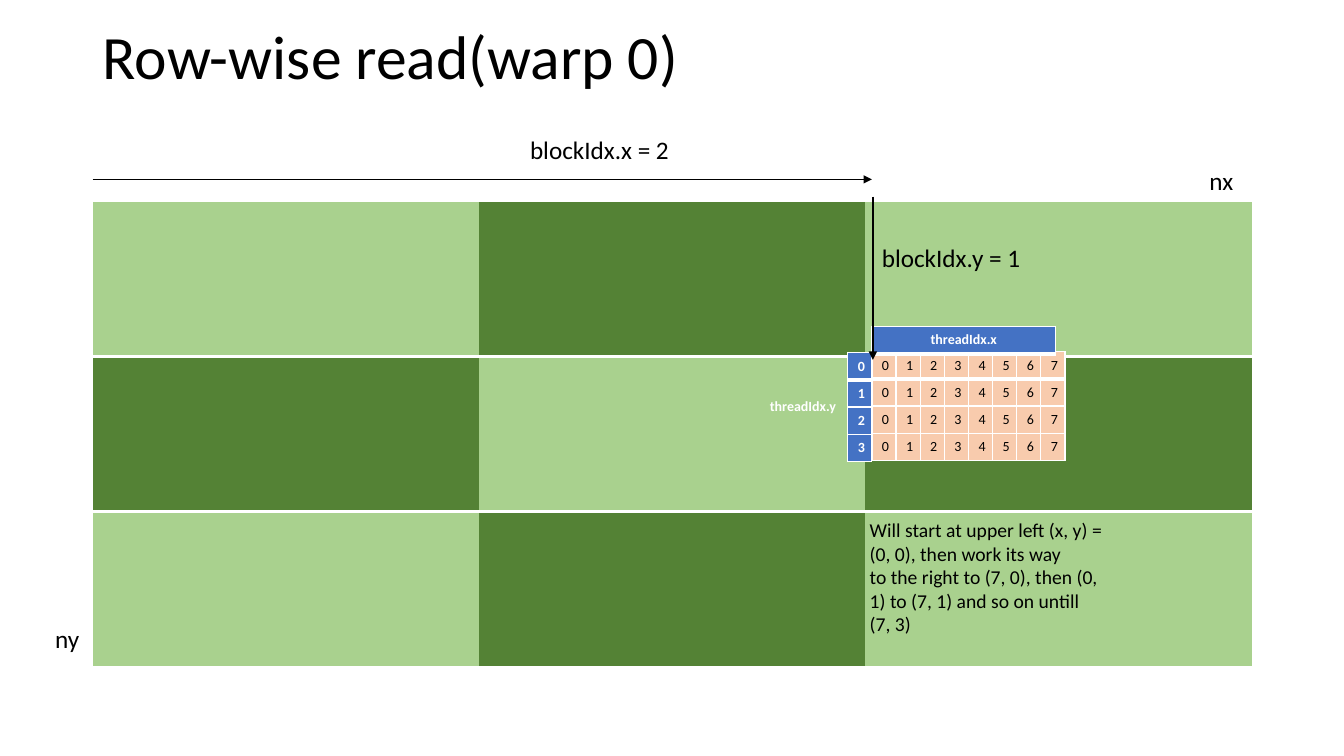
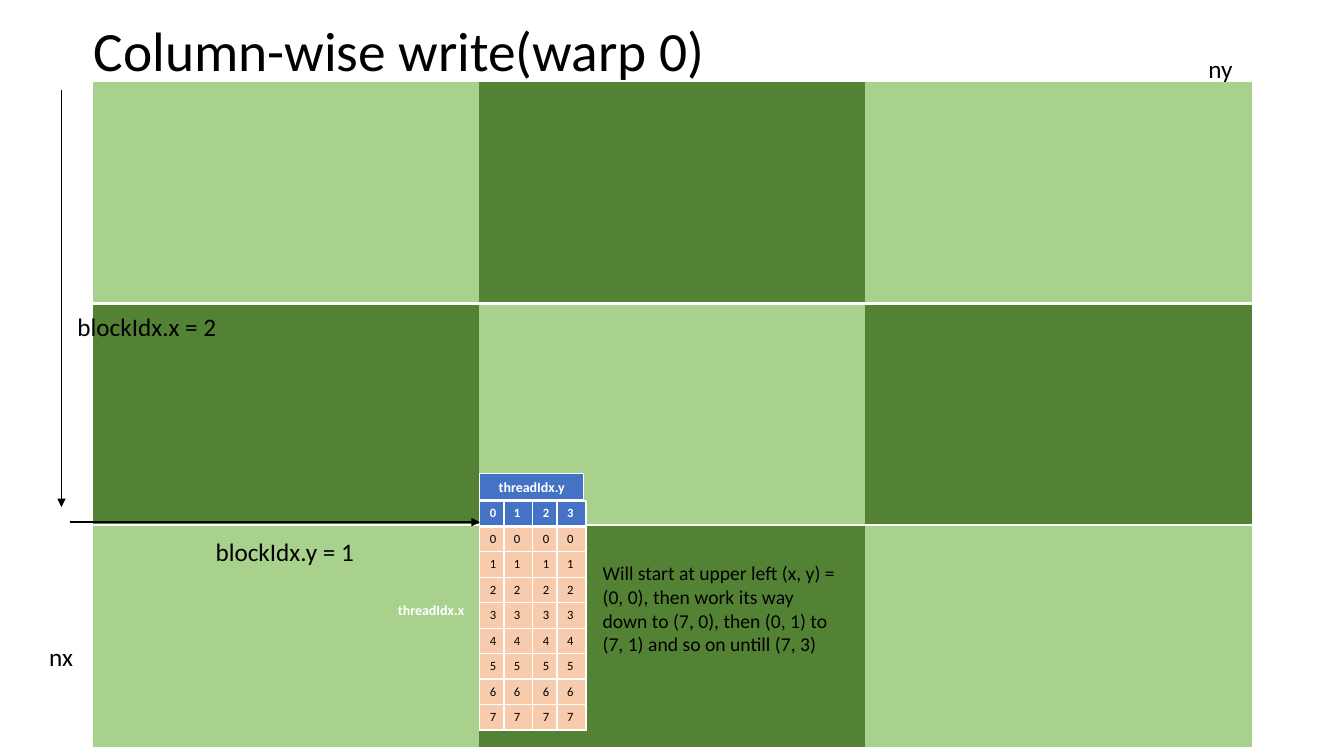
from dataclasses import dataclass

import pptx
import pptx.dml.color
import pptx.enum.shapes
import pptx.enum.text
import pptx.oxml
import pptx.oxml.ns
import pptx.presentation
import pptx.shapes.autoshape
import pptx.slide
import pptx.table
import pptx.text.text
import pptx.util

Pt = pptx.util.Pt
RGBColor = pptx.dml.color.RGBColor
ALIGN = pptx.enum.text.PP_ALIGN
qn = pptx.oxml.ns.qn

BLACK = RGBColor(0x00, 0x00, 0x00)
WHITE = RGBColor(0xFF, 0xFF, 0xFF)
LIGHT_BLOCK = RGBColor(0xA9, 0xD1, 0x8E)
DARK_BLOCK = RGBColor(0x54, 0x82, 0x35)
INDEX_BLUE = RGBColor(0x44, 0x72, 0xC4)
THREAD_PEACH = RGBColor(0xF8, 0xCB, 0xAD)
FONT = "Calibri"
NO_STYLE_NO_GRID = "{2D5ABB26-0587-4C30-8999-92F81FD0307C}"

BLOCKS_LEFT = 66.24
BLOCK_WIDTH = 276
BLOCKS_PER_SIDE = 3
THREADS_X = tuple("01234567")
THREADS_Y = tuple("0123")


@dataclass(frozen=True)
class Box:
    """A place on the slide, in points."""
    left: float
    top: float
    width: float
    height: float


@dataclass(frozen=True)
class Text:
    """A text box; each line is one paragraph."""
    lines: tuple[str, ...]
    box: Box
    size: float = 18
    color: RGBColor = BLACK
    bold: bool = False
    wrap: bool = False


@dataclass(frozen=True)
class Arrow:
    """A straight arrow between two points."""
    x1: float
    y1: float
    x2: float
    y2: float


@dataclass(frozen=True)
class Threads:
    """A table of thread indices whose first head_rows rows are blue."""
    left: float
    top: float
    columns: tuple[float, ...]
    row_height: float
    rows: tuple[tuple[str, ...], ...]
    head_rows: int = 0
    size: float = 10
    align: ALIGN = ALIGN.LEFT


@dataclass(frozen=True)
class WarpSlide:
    """All that differs from one slide to the next."""
    title: str
    title_box: Box
    title_size: float
    blocks_top: float
    block_height: float
    tables: tuple[Threads, ...]
    arrows: tuple[Arrow, ...]
    texts: tuple[Text, ...]


def axis_label(text: str, left: float, top: float) -> Text:
    """Describe a label for the extent of the matrix."""
    return Text((text,), Box(left, top, 31.68, 28.8))


def block_label(text: str, left: float, top: float) -> Text:
    """Describe a label for a block index."""
    return Text((text,), Box(left, top, 114.48, 28.8))


def thread_label(text: str, left: float, top: float) -> Text:
    """Describe the white label beside the thread table."""
    return Text((text,), Box(left, top, 62.64, 19.44), 10, WHITE, True)


def note(ending: str, left: float, top: float, height: float) -> Text:
    """Describe the explanation of the order of access."""
    opening = "Will start at upper left (x, y) = (0, 0), then work its way"
    return Text((opening, ending), Box(left, top, 180.72, height), 14, wrap=True)


def thread_header(text: str, left: float, top: float, width: float) -> Threads:
    """Describe the one-cell heading above a thread table."""
    return Threads(left, top, (width,), 19.2, ((text,),), 1, align=ALIGN.CENTER)


def style_paragraph(paragraph: pptx.text.text._Paragraph, size: float,
                    color: RGBColor, bold: bool = False) -> None:
    """Give a paragraph its font."""
    paragraph.font.name = FONT
    paragraph.font.size = Pt(size)
    paragraph.font.bold = bold
    paragraph.font.color.rgb = color


def draw_title(slide: pptx.slide.Slide, spec: WarpSlide) -> None:
    """Place and format the title placeholder."""
    title, box = slide.shapes.title, spec.title_box
    title.left, title.top = Pt(box.left), Pt(box.top)
    title.width, title.height = Pt(box.width), Pt(box.height)
    frame = title.text_frame
    frame.text = spec.title
    frame.auto_size = pptx.enum.text.MSO_AUTO_SIZE.NONE
    frame.vertical_anchor = pptx.enum.text.MSO_ANCHOR.MIDDLE
    heading = frame.paragraphs[0]
    heading.alignment = ALIGN.LEFT
    heading.line_spacing = 0.9
    style_paragraph(heading, spec.title_size, BLACK)


def draw_text(slide: pptx.slide.Slide, text: Text) -> None:
    """Draw a text box."""
    box = text.box
    frame = slide.shapes.add_textbox(
        Pt(box.left), Pt(box.top), Pt(box.width), Pt(box.height)).text_frame
    frame.word_wrap = text.wrap
    frame.auto_size = pptx.enum.text.MSO_AUTO_SIZE.SHAPE_TO_FIT_TEXT
    frame.text = "\n".join(text.lines)
    for paragraph in frame.paragraphs:
        style_paragraph(paragraph, text.size, text.color, text.bold)


def draw_arrow(slide: pptx.slide.Slide, arrow: Arrow) -> None:
    """Draw a black line with a triangle at its end."""
    connector = slide.shapes.add_connector(
        pptx.enum.shapes.MSO_CONNECTOR.STRAIGHT,
        Pt(arrow.x1), Pt(arrow.y1), Pt(arrow.x2), Pt(arrow.y2))
    connector.line.color.rgb = BLACK
    connector.line.width = Pt(1)
    head = pptx.oxml.parse_xml(f'<a:tailEnd {pptx.oxml.ns.nsdecls("a")} type="triangle"/>')
    connector.line._get_or_add_ln().append(head)
    properties = connector._element.spPr
    properties.append(properties.makeelement(qn("a:effectLst"), {}))


def add_plain_table(slide: pptx.slide.Slide, left: float, top: float,
                    columns: tuple[float, ...], row_height: float,
                    row_count: int) -> pptx.table.Table:
    """Add a table without style, bands or lines."""
    table = slide.shapes.add_table(
        row_count, len(columns), Pt(left), Pt(top),
        Pt(sum(columns)), Pt(row_height * row_count)).table
    table.first_row = table.horz_banding = False
    table._tbl.tblPr.find(qn("a:tableStyleId")).text = NO_STYLE_NO_GRID
    for column, width in zip(table.columns, columns):
        column.width = Pt(width)
    for row in table.rows:
        row.height = Pt(row_height)
    return table


def paint_cell(cell: pptx.table._Cell, fill: RGBColor,
               borders: dict[str, float]) -> None:
    """Fill a cell and give it white borders (side letter: points)."""
    properties = cell._tc.get_or_add_tcPr()
    for side in "LRTB":
        if side in borders:
            properties.append(pptx.oxml.parse_xml(
                f'<a:ln{side} {pptx.oxml.ns.nsdecls("a")} w="{Pt(borders[side])}">'
                f'<a:solidFill><a:srgbClr val="{WHITE}"/></a:solidFill></a:ln{side}>'))
    cell.fill.solid()
    cell.fill.fore_color.rgb = fill


def draw_blocks(slide: pptx.slide.Slide, top: float, height: float) -> None:
    """Draw the chequered matrix of blocks."""
    table = add_plain_table(slide, BLOCKS_LEFT, top, (BLOCK_WIDTH,) * BLOCKS_PER_SIDE,
                            height, BLOCKS_PER_SIDE)
    rules = ({"B": 2}, {"T": 2}, {})
    for row, rule in enumerate(rules):
        for column in range(BLOCKS_PER_SIDE):
            fill = DARK_BLOCK if (row + column) % 2 else LIGHT_BLOCK
            paint_cell(table.cell(row, column), fill, rule)


def draw_threads(slide: pptx.slide.Slide, threads: Threads) -> None:
    """Draw a table of thread indices with a thick rule under its first row."""
    table = add_plain_table(slide, threads.left, threads.top, threads.columns,
                            threads.row_height, len(threads.rows))
    for row, values in enumerate(threads.rows):
        is_head = row < threads.head_rows
        borders = {"L": 1, "R": 1, "T": 3 if row == 1 else 1, "B": 3 if row == 0 else 1}
        for column, value in enumerate(values):
            cell = table.cell(row, column)
            paint_cell(cell, INDEX_BLUE if is_head else THREAD_PEACH, borders)
            cell.text = value
            index = cell.text_frame.paragraphs[0]
            index.alignment = threads.align
            style_paragraph(index, threads.size, WHITE if is_head else BLACK, is_head)


def draw_slide(deck: pptx.presentation.Presentation, spec: WarpSlide) -> None:
    """Add one slide to the deck."""
    slide = deck.slides.add_slide(deck.slide_layouts[5])
    draw_title(slide, spec)
    draw_blocks(slide, spec.blocks_top, spec.block_height)
    for threads in spec.tables:
        draw_threads(slide, threads)
    for arrow in spec.arrows:
        draw_arrow(slide, arrow)
    for text in spec.texts:
        draw_text(slide, text)


ROW_READ = WarpSlide(
    title="Row-wise read(warp 0)",
    title_box=Box(66.24, 8.64, 828, 68.4),
    title_size=44,
    blocks_top=144,
    block_height=110.64,
    tables=(
        Threads(622.8, 251.28, (16.4,) * len(THREADS_X), 19.25,
                (THREADS_X,) * len(THREADS_Y)),
        thread_header("threadIdx.x", 622.8, 233.28, 131.2),
        Threads(605.52, 252, (16.4,), 19.25, tuple((y,) for y in THREADS_Y),
                head_rows=len(THREADS_Y)),
    ),
    arrows=(Arrow(66.24, 128.16, 622.8, 128.16), Arrow(623.52, 140.4, 623.52, 257.04)),
    texts=(
        block_label("blockIdx.x = 2", 371.52, 92.16),
        block_label("blockIdx.y = 1", 622.8, 169.92),
        thread_label("threadIdx.y", 542.88, 280.08),
        axis_label("nx", 856.8, 114.48),
        axis_label("ny", 32.4, 441.36),
        note("to the right to (7, 0), then (0, 1) to (7, 1) and so on untill (7, 3)",
             614.16, 366.48, 92.16),
    ),
)

COLUMN_WRITE = WarpSlide(
    title="Column-wise write(warp 0)",
    title_box=Box(59.76, 18.72, 828, 38.88),
    title_size=39.6,
    blocks_top=58.32,
    block_height=158.4,
    tables=(
        thread_header("threadIdx.y", 342.72, 338.4, 74.16),
        Threads(342.72, 357.84, (16.6, 20.7) * 2, 17.44,
                (THREADS_Y, *((x,) * len(THREADS_Y) for x in THREADS_X)),
                head_rows=1, size=9),
    ),
    arrows=(Arrow(43.92, 64.08, 43.92, 362.16), Arrow(49.68, 372.96, 342.72, 372.96)),
    texts=(
        block_label("blockIdx.x = 2", 48.24, 218.88),
        block_label("blockIdx.y = 1", 146.88, 379.44),
        thread_label("threadIdx.x", 277.2, 426.24),
        axis_label("ny", 856.08, 34.56),
        axis_label("nx", 28.08, 454.32),
        note("down to (7, 0), then (0, 1) to (7, 1) and so on untill (7, 3)",
             423.36, 397.44, 74.88),
    ),
)

presentation = pptx.Presentation()
presentation.slide_width, presentation.slide_height = Pt(960), Pt(540)
for warp_slide in (ROW_READ, COLUMN_WRITE):
    draw_slide(presentation, warp_slide)
presentation.save("out.pptx")
